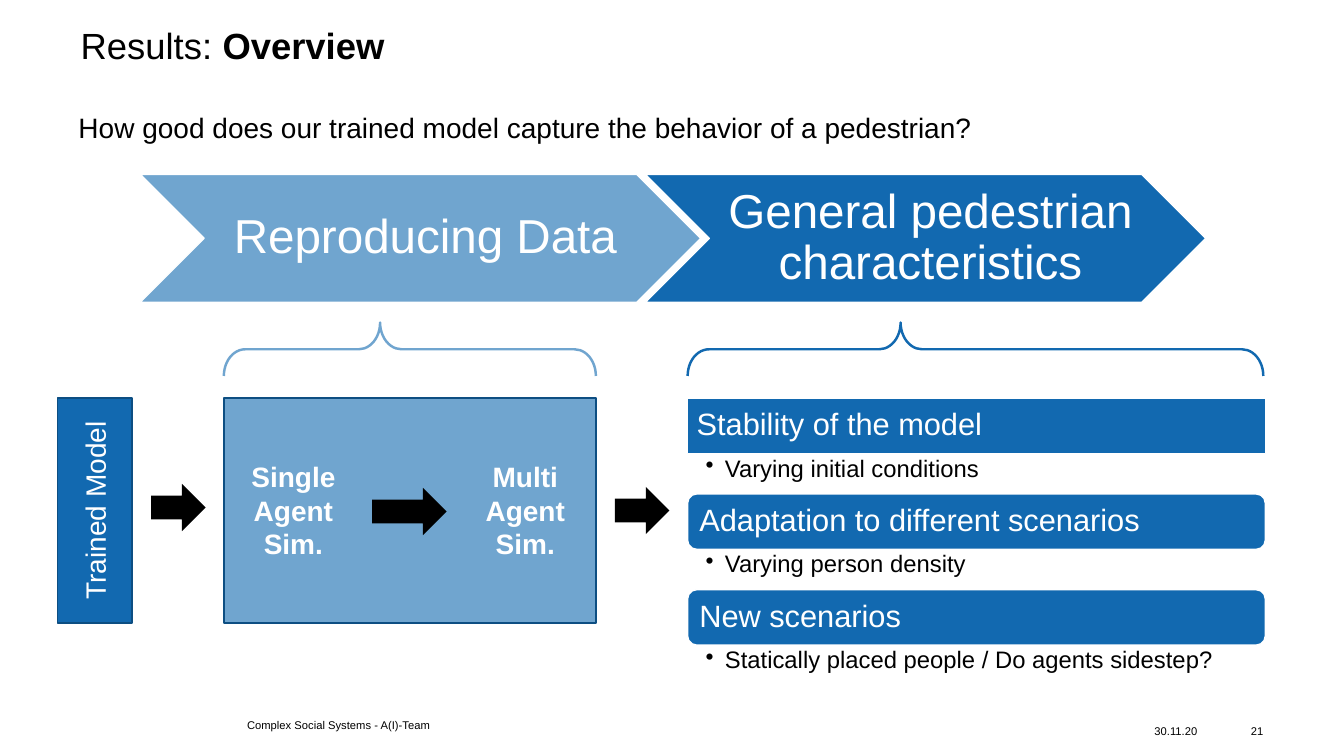
import pptx
import pptx.dml.color
import pptx.enum.shapes
import pptx.enum.text
import pptx.oxml
import pptx.oxml.ns
import pptx.util

SCALE = 9144  # EMU per px, 100 px to the inch
BLUE, EDGE, WHITE, BLACK = "1269B0", "0D4E82", "FFFFFF", "000000"
FONT = "Arial"
FAINT = 60
SHAPES = pptx.enum.shapes.MSO_SHAPE
ALIGN = pptx.enum.text.PP_ALIGN
ANCHOR = pptx.enum.text.MSO_ANCHOR


def px(length):
    return pptx.util.Emu(round(length * SCALE))


def paint(fill, colour, alpha=None):
    """Make a fill solid, with an optional opacity in percent."""
    fill.solid()
    fill.fore_color.rgb = pptx.dml.color.RGBColor.from_string(colour)
    if alpha:
        tone = fill._xPr.find(".//" + pptx.oxml.ns.qn("a:srgbClr"))
        pptx.oxml.ns.qn("a:alpha")
        tone.append(pptx.oxml.parse_xml(
            f'<a:alpha {pptx.oxml.ns.nsdecls("a")} val="{alpha * 1000}"/>'))


def add_bullet(para, indent):
    para.level = 1
    properties = para._p.get_or_add_pPr()
    properties.set("marL", str(px(indent)))
    properties.set("indent", str(-px(indent)))
    properties.append(pptx.oxml.parse_xml(
        f'<a:buChar {pptx.oxml.ns.nsdecls("a")} char="•"/>'))


def write(shape, text, size, colour=BLACK, bold=False, align=ALIGN.LEFT,
          anchor=ANCHOR.TOP, insets=(0, 0, 0, 0), spacing=None, bullet=None):
    """Fill a shape with one paragraph; a newline becomes a line break."""
    frame = shape.text_frame
    frame.word_wrap = True
    frame.auto_size = pptx.enum.text.MSO_AUTO_SIZE.NONE
    frame.vertical_anchor = anchor
    (frame.margin_left, frame.margin_top,
     frame.margin_right, frame.margin_bottom) = map(px, insets)
    para = frame.paragraphs[0]
    para.text = text
    para.alignment = align
    if spacing:
        para.line_spacing = spacing
    if bullet:
        add_bullet(para, bullet)
    for span in para.runs:
        style(span, size, colour, bold)
    return para


def style(span, size, colour, bold):
    span.font.name = FONT
    span.font.size = pptx.util.Pt(size)
    span.font.bold = bold
    span.font.color.rgb = pptx.dml.color.RGBColor.from_string(colour)


def add_label(page, box, text, size, **form):
    label = page.shapes.add_textbox(*map(px, box))
    write(label, text, size, **form)


def add_block(page, kind, box, fill=None, line=None, weight=1, alpha=None, line_alpha=None):
    block = page.shapes.add_shape(kind, *map(px, box))
    block.shadow.inherit = False
    if fill:
        paint(block.fill, fill, alpha)
    else:
        block.fill.background()
    if line:
        paint(block.line.fill, line, line_alpha)
        block.line.width = pptx.util.Pt(weight)
    else:
        block.line.fill.background()
    return block


def add_heading(page, box):
    left, top, width, height = box
    title = page.shapes.title
    title.left, title.top, title.width, title.height = map(px, (left, top, width, 98))
    para = write(title, "Results: ", 26, spacing=0.9)
    span = para.add_run()
    span.text = "Overview"
    style(span, 26, BLACK, True)
    add_label(page, (left - 12, top + 77, 1127, 44),
              "How good does our trained model capture the behavior of a pedestrian?",
              20, insets=(10, 5, 10, 5))


def add_stages(page, box):
    """Place the two chevrons, the second overlapping the tail of the first."""
    left, top, width, height = box
    step = 501
    stages = (("Reproducing Data", FAINT), ("General pedestrian characteristics", None))
    for index, (text, alpha) in enumerate(stages):
        chevron = add_block(page, SHAPES.CHEVRON,
                            (left + index * step, top, width - step, height),
                            BLUE, WHITE, alpha=alpha)
        write(chevron, text, 34, WHITE, align=ALIGN.CENTER, anchor=ANCHOR.MIDDLE,
              insets=(15, 5, 5, 5), spacing=0.9)


def add_brace(page, box, tip, alpha=None):
    """Place an upward brace that covers the box, with its tip at a share of the width."""
    left, top, width, height = box
    upright = (left + (width - height) / 2, top + (height - width) / 2, height, width)
    brace = add_block(page, SHAPES.RIGHT_BRACE, upright,
                      line=BLUE, weight=1.75, line_alpha=alpha)
    brace.rotation = 270
    brace.adjustments[0] = 0.4
    brace.adjustments[1] = tip


def add_arrow(page, box):
    add_block(page, SHAPES.RIGHT_ARROW, box, BLACK)


def add_model(page, box):
    left, top, width, height = box
    model = add_block(page, SHAPES.RECTANGLE, box, BLUE, EDGE)
    write(model, "Trained Model", 20, WHITE, align=ALIGN.CENTER,
          anchor=ANCHOR.MIDDLE, insets=(10, 5, 10, 5))
    model.text_frame._txBody.bodyPr.set("vert", "vert270")
    add_arrow(page, (left + width + 19, top + 85, 54, 47))


def add_simulations(page, box):
    left, top, width, height = box
    add_block(page, SHAPES.RECTANGLE, box, BLUE, EDGE, alpha=FAINT)
    for offset, text in ((13, "Single\vAgent\vSim."), (243, "Multi\vAgent\vSim.")):
        add_label(page, (left + offset, top + 56, 112, 111), text, 20, colour=WHITE,
                  bold=True, align=ALIGN.CENTER, insets=(10, 5, 10, 5))
    add_arrow(page, (left + 147, top + 89, 74, 47))
    add_arrow(page, (left + width + 19, top + 88, 54, 47))
    add_brace(page, (left, top - 75, width, 53), 0.42, FAINT)


def add_characteristics(page, box):
    left, top, width, height = box
    topics = (
        (SHAPES.RECTANGLE, "Stability of the model", "Varying initial conditions"),
        (SHAPES.ROUNDED_RECTANGLE, "Adaptation to different scenarios",
         "Varying person density"),
        (SHAPES.ROUNDED_RECTANGLE, "New scenarios",
         "Statically placed people / Do agents sidestep?"),
    )
    pitch, bar = height / len(topics), 55
    for index, (kind, heading, detail) in enumerate(topics):
        y = top + index * pitch
        header = add_block(page, kind, (left, y, width, bar), BLUE, WHITE)
        write(header, heading, 22, WHITE, anchor=ANCHOR.MIDDLE,
              insets=(9, 9, 9, 9), spacing=0.9)
        add_label(page, (left, y + bar, width, pitch - bar), detail, 17,
                  insets=(18, 3, 17, 3), spacing=0.9, bullet=19)
    add_brace(page, (left, top - 75, width - 2, 53), 0.37)


def add_footer(page, box):
    left, top, width, height = box
    form = {"size": 8, "anchor": ANCHOR.MIDDLE}
    add_label(page, (left, top, 591, height), "Complex Social Systems - A(I)-Team", **form)
    add_label(page, (left + 900, top + 6, 67, height), "30.11.20", **form)
    add_label(page, (left + width - 35, top + 6, 35, height), "21",
              align=ALIGN.RIGHT, **form)


def main():
    deck = pptx.Presentation()
    deck.slide_width, deck.slide_height = px(1333), px(750)
    page = deck.slides.add_slide(deck.slide_layouts[5])
    add_heading(page, (80, 28, 1173, 121))
    add_stages(page, (139, 173, 1057, 127))
    add_model(page, (57, 395, 74, 223))
    add_simulations(page, (222, 395, 369, 223))
    add_characteristics(page, (682, 395, 573, 285))
    add_footer(page, (245, 707, 1008, 24))
    deck.save("out.pptx")


if __name__ == "__main__":
    main()
